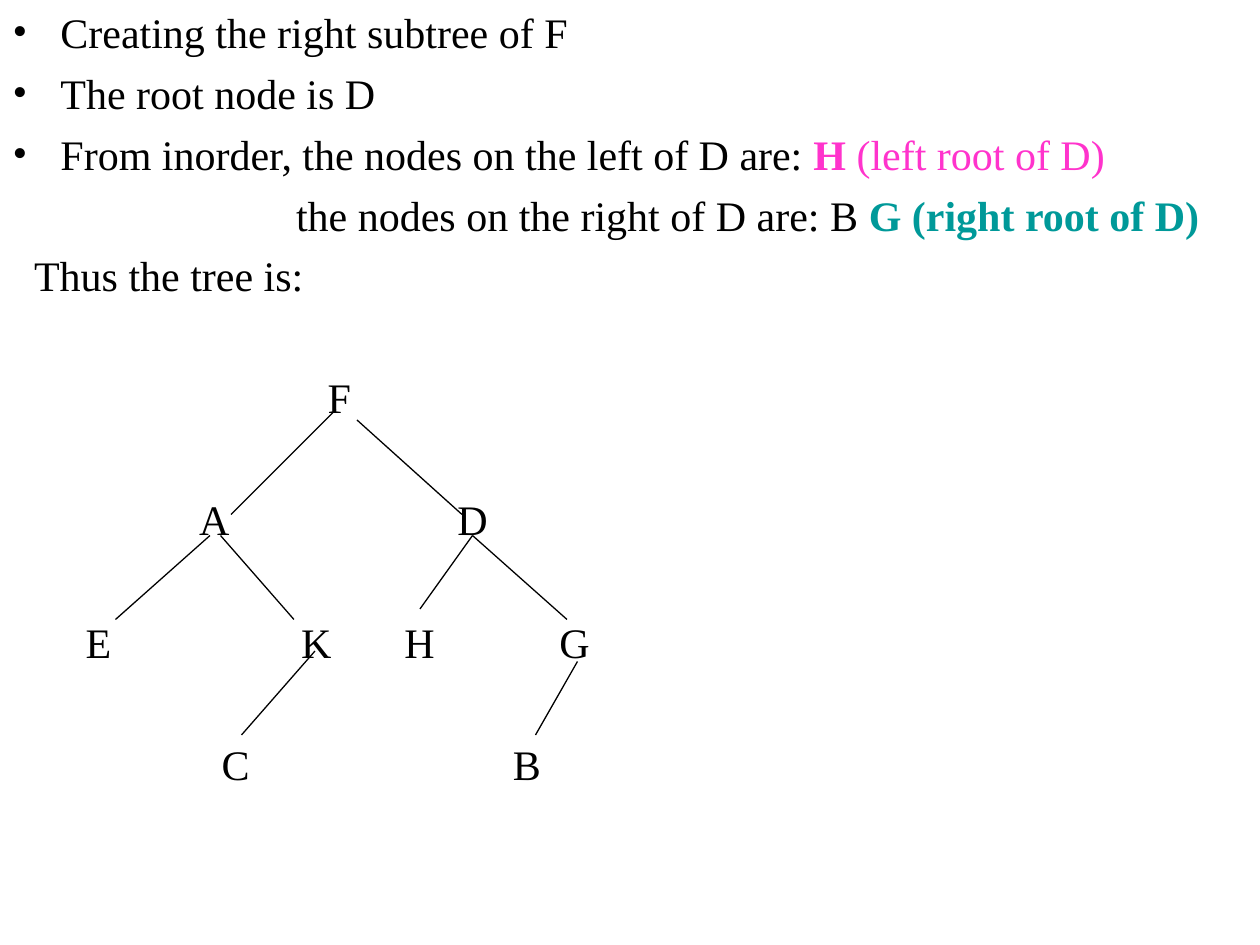
"""Build a slide that derives the right subtree of F and draws the tree."""
import pptx
import pptx.dml.color
import pptx.enum.shapes
import pptx.enum.text
import pptx.oxml.ns
import pptx.util
from lxml import etree

BLACK = pptx.dml.color.RGBColor(0x00, 0x00, 0x00)
PINK = pptx.dml.color.RGBColor(0xFF, 0x33, 0xCC)
TEAL = pptx.dml.color.RGBColor(0x00, 0x99, 0x99)

GRID = pptx.util.Inches(1) // 12
HANG = 0.38
LINE_GAP = 6
TREE_TOP = 2.95
LEVEL_PITCH = 0.97
NODE_SIZE = 0.4

STEPS = [
    (True, HANG, [("Creating the right subtree of F", BLACK, False)]),
    (True, HANG, [("The root node is D", BLACK, False)]),
    (True, HANG, [("From inorder, the nodes on the left of D are: ", BLACK, False),
                  ("H", PINK, True),
                  (" (left root of D)", PINK, False)]),
    (False, 2.25, [("the nodes on the right of D are: B ", BLACK, False),
                   ("G (right root of D)", TEAL, True)]),
    (False, 0.17, [("Thus the tree is:", BLACK, False)]),
]
LEVELS = [
    {"F": 2.6},
    {"A": 1.58, "D": 3.63},
    {"E": 0.68, "K": 2.39, "H": 3.21, "G": 4.44},
    {"C": 1.76, "B": 4.07},
]
EDGES = [
    ((32, 39), (22, 49)),
    ((34, 40), (44, 49)),
    ((20, 51), (11, 59)),
    ((21, 51), (28, 59)),
    ((30, 62), (23, 70)),
    ((45, 51), (40, 58)),
    ((45, 51), (54, 59)),
    ((55, 63), (51, 70)),
]


def add_element(parent, tag, **attributes):
    """Append a DrawingML element and return it."""
    return etree.SubElement(parent, pptx.oxml.ns.qn(tag), attributes)


def set_font(paragraph):
    """Give a paragraph the font of the slide."""
    paragraph.font.name = "Times New Roman"
    paragraph.font.size = pptx.util.Pt(24)


def set_frame(frame, side, top):
    """Anchor a text frame at the top with the given insets."""
    frame.word_wrap = True
    frame.auto_size = pptx.enum.text.MSO_AUTO_SIZE.NONE
    frame.vertical_anchor = pptx.enum.text.MSO_ANCHOR.TOP
    frame.margin_left = frame.margin_right = pptx.util.Inches(side)
    frame.margin_top = frame.margin_bottom = pptx.util.Inches(top)


def add_run(paragraph, text, color, bold):
    """Add a coloured run to a paragraph."""
    run = paragraph.add_run()
    run.text = text
    run.font.color.rgb = color
    run.font.bold = bold


def add_step(paragraph, gap, bulleted, margin, parts):
    """Write one step of the explanation."""
    properties = paragraph._p.get_or_add_pPr()
    properties.set("marL", str(pptx.util.Inches(margin)))
    properties.set("indent", str(pptx.util.Inches(-HANG if bulleted else 0)))
    if bulleted:
        bullet_color = add_element(properties, "a:buClr")
        add_element(bullet_color, "a:srgbClr", val=str(BLACK))
        add_element(properties, "a:buFont", typeface="Times New Roman")
        add_element(properties, "a:buChar", char="•")
    else:
        add_element(properties, "a:buNone")
    paragraph.space_before = pptx.util.Pt(gap)
    set_font(paragraph)
    for text, color, bold in parts:
        add_run(paragraph, text, color, bold)


def add_node(slide, letter, left, level):
    """Place the letter of a node on its level of the tree."""
    node = slide.shapes.add_textbox(
        pptx.util.Inches(left),
        pptx.util.Inches(TREE_TOP + level * LEVEL_PITCH),
        pptx.util.Inches(NODE_SIZE), pptx.util.Inches(NODE_SIZE))
    set_frame(node.text_frame, 0, 0)
    label = node.text_frame.paragraphs[0]
    set_font(label)
    add_run(label, letter, BLACK, False)


def add_edge(slide, parent, child):
    """Draw the line from a parent node to its child."""
    edge = slide.shapes.add_connector(
        pptx.enum.shapes.MSO_CONNECTOR.STRAIGHT,
        *(GRID * step for step in parent + child))
    edge.line.color.rgb = BLACK
    edge.line.width = pptx.util.Pt(0.75)
    add_element(edge._element.spPr, "a:effectLst")


def main():
    """Build and save the slide."""
    deck = pptx.Presentation()
    deck.slide_width = pptx.util.Inches(10)
    deck.slide_height = pptx.util.Inches(7.5)
    slide = deck.slides.add_slide(deck.slide_layouts[1])
    title = slide.shapes.title._element
    title.getparent().remove(title)

    explanation = slide.placeholders[1]
    explanation.left, explanation.top = 0, 0
    explanation.width, explanation.height = deck.slide_width, deck.slide_height
    frame = explanation.text_frame
    set_frame(frame, 0.1, 0.05)
    for index, step in enumerate(STEPS):
        paragraph = frame.add_paragraph() if index else frame.paragraphs[0]
        add_step(paragraph, LINE_GAP if index else 0, *step)

    for level, nodes in enumerate(LEVELS):
        for letter, left in nodes.items():
            add_node(slide, letter, left, level)
    for parent, child in EDGES:
        add_edge(slide, parent, child)
    deck.save("out.pptx")


if __name__ == "__main__":
    main()
